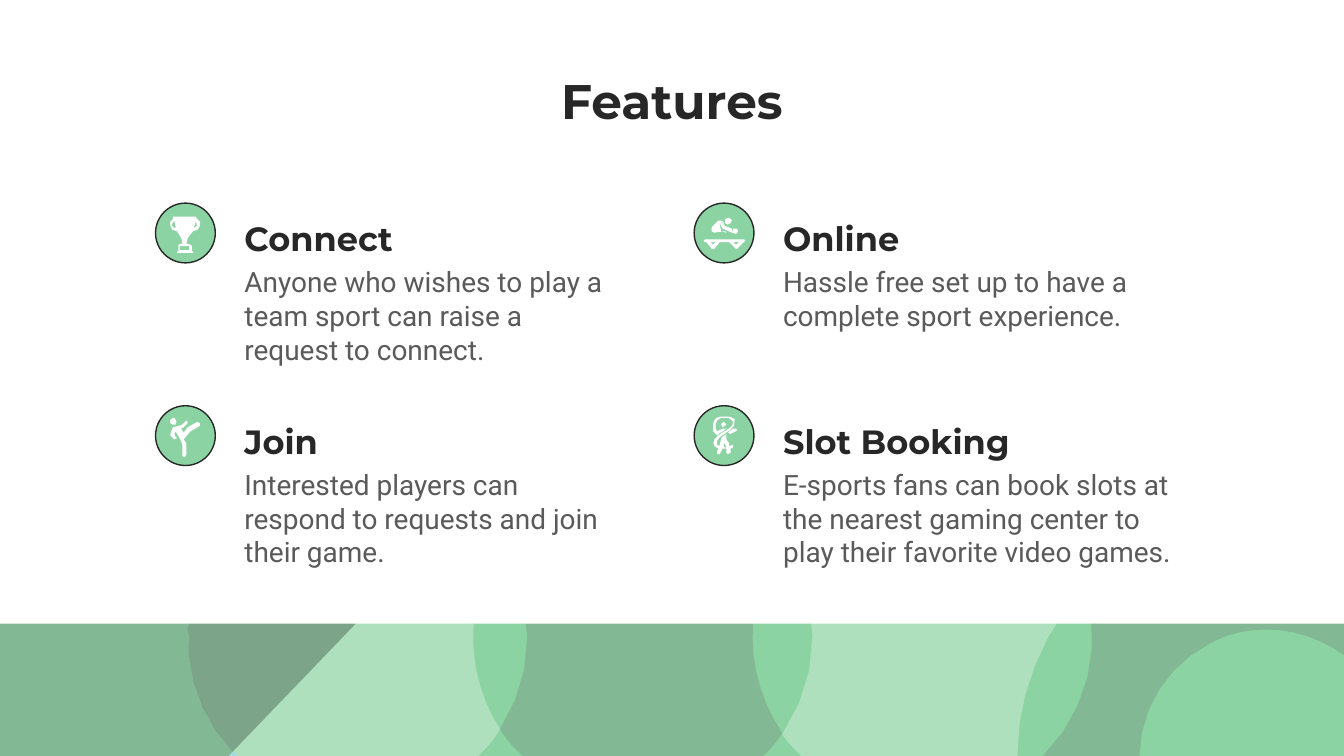
from math import dist

from lxml import etree
from pptx import Presentation
from pptx.dml.color import RGBColor
from pptx.enum.shapes import MSO_SHAPE
from pptx.enum.text import MSO_ANCHOR, PP_ALIGN
from pptx.oxml.ns import qn
from pptx.util import Cm, Pt

GREEN, WHITE, GREY, INK, BODY = "8CD3A3", "FFFFFF", "686868", "272727", "5A5A5A"
UNIT = Cm(0.0254)  # one step of the outline coordinates

# Outlines use M (move), L (line) and C (cubic curve); each contour closes itself.
PATTERN = [  # colour, opacity in percent, outline
    ("A2DBDF", 100, "M173 278 L170 281 L177 281"),
    (WHITE, 30, "M348 96 L173 278 L177 281 L356 281 C362 275 368 269 372 261 "
                "C359 241 352 217 352 193 C352 168 359 144 372 124 C366 114 357 104 348 96"),
    (GREY, 25, "M478 66 C434 66 395 89 372 124 C399 166 399 220 372 261 "
               "C377 269 382 275 389 281 L568 281 C573 276 578 271 582 264 "
               "C568 243 560 218 560 193 C560 167 568 142 582 121 C559 87 520 66 478 66"),
    (WHITE, 30, "M705 68 L647 126 L612 91 C600 99 590 109 582 121 C612 164 612 221 582 265 "
                "C586 271 591 276 596 281 L757 281 C757 235 775 190 807 155 "
                "C792 109 753 75 705 68"),
    (GREY, 25, "M902 100 C866 109 832 128 807 155 C821 200 809 248 776 281 L848 281 "
               "C848 246 869 213 901 197 C914 190 928 187 943 187 C963 187 983 194 1000 206 "
               "L1000 137 L969 168"),
    (GREY, 25, "M143 2 L0 150 L0 281 L170 281 L173 278 C152 255 140 224 140 193 "
               "C140 142 171 96 217 76"),
    (GREY, 44, "M278 67 L243 102 L217 76 C180 92 152 125 143 166 C134 206 145 248 173 278 "
               "L348 96 C328 79 304 69 278 67"),
]

TROPHY = (
    "M13 10 L30 10 L31 12 C33 13 34 15 33 17 C32 19 31 21 28 21 C26 23 23 26 23 30 "
    "L26 31 L27 32 L27 36 L28 36 L28 37 L16 37 L16 36 L17 36 L17 32 L17 31 L20 30 "
    "C20 26 17 23 16 21 C13 21 11 19 11 17 C10 15 11 13 13 12 "
    "M14 13 C14 15 15 17 15 19 C14 19 12 17 12 16 L14 13 "
    "M30 13 C32 15 31 19 28 19 C29 17 30 15 30 13 M18 32 L25 32 L25 35 L18 35"
)
TRAMPOLINE = (
    "M25 11 C23 11 22 13 23 15 L25 16 L27 15 C29 14 28 11 26 11 "
    "M20 13 L18 13 L13 18 C12 18 12 20 13 21 L15 22 L23 21 L24 22 L20 21 L19 16 L19 15 "
    "L21 19 L28 22 C28 22 29 20 28 19 L23 17 L20 14 L21 14 L22 16 L22 14 "
    "M29 19 C30 20 29 21 28 22 L31 23 C33 23 33 20 32 19 "
    "M8 27 L37 27 L38 28 L37 29 L32 34 L31 34 L26 29 L19 29 L15 34 L13 34 L9 29 L8 29 L7 28 "
    "M16 29 L14 31 L12 29 M34 29 L31 31 L29 29"
)
KICKER = (
    "M13 9 C11 9 10 12 11 13 L13 14 L15 14 C16 13 16 10 14 9 "
    "M23 11 L20 14 L17 15 L13 16 L11 21 L11 22 L14 25 L16 24 L15 23 L14 21 L15 19 L18 24 "
    "L20 29 L20 37 L21 38 L22 38 L23 36 L23 28 L21 25 L26 19 L33 15 L33 13 L31 12 L24 16 "
    "L21 20 L19 17 L21 16 L24 13 L24 12"
)
GYMNAST = (
    "M22 12 C20 12 19 15 21 16 C22 17 24 15 24 14 L23 13 "
    "M31 17 L29 17 L25 20 L27 21 L31 19 L32 18 "
    "M23 8 L20 8 C16 8 14 11 14 14 L14 19 L17 22 C19 20 22 19 24 17 L21 17 L17 19 L16 17 "
    "L16 14 C16 12 17 10 20 9 L23 9 C25 9 27 9 28 11 L29 12 C30 17 18 20 15 25 "
    "C14 27 14 28 15 30 L18 32 L17 34 L17 36 L19 36 L21 32 L24 32 L24 35 L25 36 L27 35 "
    "L27 32 L29 31 L29 29 L26 30 L26 28 L24 25 L24 21 L20 24 L20 25 L19 29 L19 30 L17 29 "
    "L17 26 C19 21 32 18 30 11 L30 10 C28 8 26 8 23 8 M22 27 L24 31 L22 31"
)

FEATURES = [  # heading, text, icon, text width in cm; row by row
    ("Connect", "Anyone who wishes to play a team sport can raise a request to connect.",
     TROPHY, 7.57),
    ("Online", "Hassle free set up to have a complete sport experience.", TRAMPOLINE, 7.57),
    ("Join", "Interested players can respond to requests and join their game.", KICKER, 7.57),
    ("Slot Booking", "E-sports fans can book slots at the nearest gaming center to play their "
     "favorite video games.", GYMNAST, 8.1),
]


def rgb(value):
    return RGBColor.from_string(value)


def paint(sp, color, opacity=100, line=None):
    sp.shadow.inherit = False
    sp.fill.solid()
    sp.fill.fore_color.rgb = rgb(color)
    if opacity < 100:
        clr = sp._element.spPr.find(".//" + qn("a:srgbClr"))
        etree.SubElement(clr, qn("a:alpha"), val=str(opacity * 1000))
    if line:
        sp.line.color.rgb = rgb(line)
        sp.line.width = Pt(0.75)
    else:
        sp.line.fill.background()


def add_preset(s, kind, x, y, w, h, color, line=None):
    sp = s.shapes.add_shape(kind, Cm(x), Cm(y), Cm(w), Cm(h))
    paint(sp, color, line=line)


def curve_points(curve):
    """Cut a cubic curve into short lines, more of them for a longer curve."""
    steps = min(6, 1 + int(dist(curve[0], curve[3]) / (4 * UNIT)))
    for i in range(1, steps + 1):
        t = i / steps
        weights = ((1 - t) ** 3, 3 * t * (1 - t) ** 2, 3 * t * t * (1 - t), t ** 3)
        yield tuple(sum(w * p[k] for w, p in zip(weights, curve)) for k in (0, 1))


def contours(outline):
    """Return one list of EMU points per contour."""
    result = []
    for part in outline.split("M")[1:]:
        points = []
        for step in part.replace("L", "|L").replace("C", "|C").split("|"):
            n = [int(v) * UNIT for v in step.strip("LC").split()]
            pairs = list(zip(n[::2], n[1::2]))
            points += curve_points(points[-1:] + pairs) if step[0] == "C" else pairs
        result.append(points)
    return result


def add_outline(s, outline, x, y, color, opacity=100):
    first, *rest = contours(outline)
    builder = s.shapes.build_freeform(*first[0], scale=1.0)
    builder.add_line_segments(first[1:], close=True)
    for points in rest:
        builder.move_to(*points[0])
        builder.add_line_segments(points[1:], close=True)
    paint(builder.convert_to_shape(Cm(x), Cm(y)), color, opacity)


def add_text(s, text, x, y, w, h, size, font, color, bold=False,
             anchor=MSO_ANCHOR.TOP, align=PP_ALIGN.LEFT):
    tf = s.shapes.add_textbox(Cm(x), Cm(y), Cm(w), Cm(h)).text_frame
    tf.word_wrap = True
    tf.vertical_anchor = anchor
    tf.margin_left = tf.margin_right = tf.margin_top = tf.margin_bottom = Cm(0.25)
    tf.text = text
    p = tf.paragraphs[0]
    p.alignment = align
    f = p.runs[0].font
    f.size, f.name, f.bold = Pt(size), font, bold
    f.color.rgb = rgb(color)


def add_pattern(s, x, y, w, h):
    """Draw the circle pattern and the white panel over its upper part."""
    add_preset(s, MSO_SHAPE.RECTANGLE, x, y, w, h, GREEN)
    for color, opacity, outline in PATTERN:
        add_outline(s, outline, x, y, color, opacity)
    add_preset(s, MSO_SHAPE.RECTANGLE, x, y - 0.23, w, 4.87, WHITE)


def add_feature(s, x, y, heading, text, icon, w):
    add_text(s, heading, x + 1.43, y - 0.18, 7.57, 1.47, 18, "Montserrat", INK, True,
             MSO_ANCHOR.BOTTOM)
    add_text(s, text, x + 1.43, y + 0.92, w, 2.08, 15, "Roboto", BODY)
    add_preset(s, MSO_SHAPE.OVAL, x, y, 1.13, 1.13, GREEN, INK)
    add_outline(s, icon, x, y, WHITE)


def main():
    prs = Presentation()
    prs.slide_width, prs.slide_height = Cm(25.4), Cm(14.29)
    s = prs.slides.add_slide(prs.slide_layouts[6])
    add_pattern(s, 0, 7.15, 25.4, 7.14)
    add_text(s, "Features", 2.11, 1.09, 21.18, 1.6, 26, "Montserrat", INK, True,
             MSO_ANCHOR.MIDDLE, PP_ALIGN.CENTER)
    for i, feature in enumerate(FEATURES):
        row, col = divmod(i, 2)
        add_feature(s, 2.94 + col * 10.18, 3.84 + row * 3.83, *feature)
    prs.save("out.pptx")


if __name__ == "__main__":
    main()
